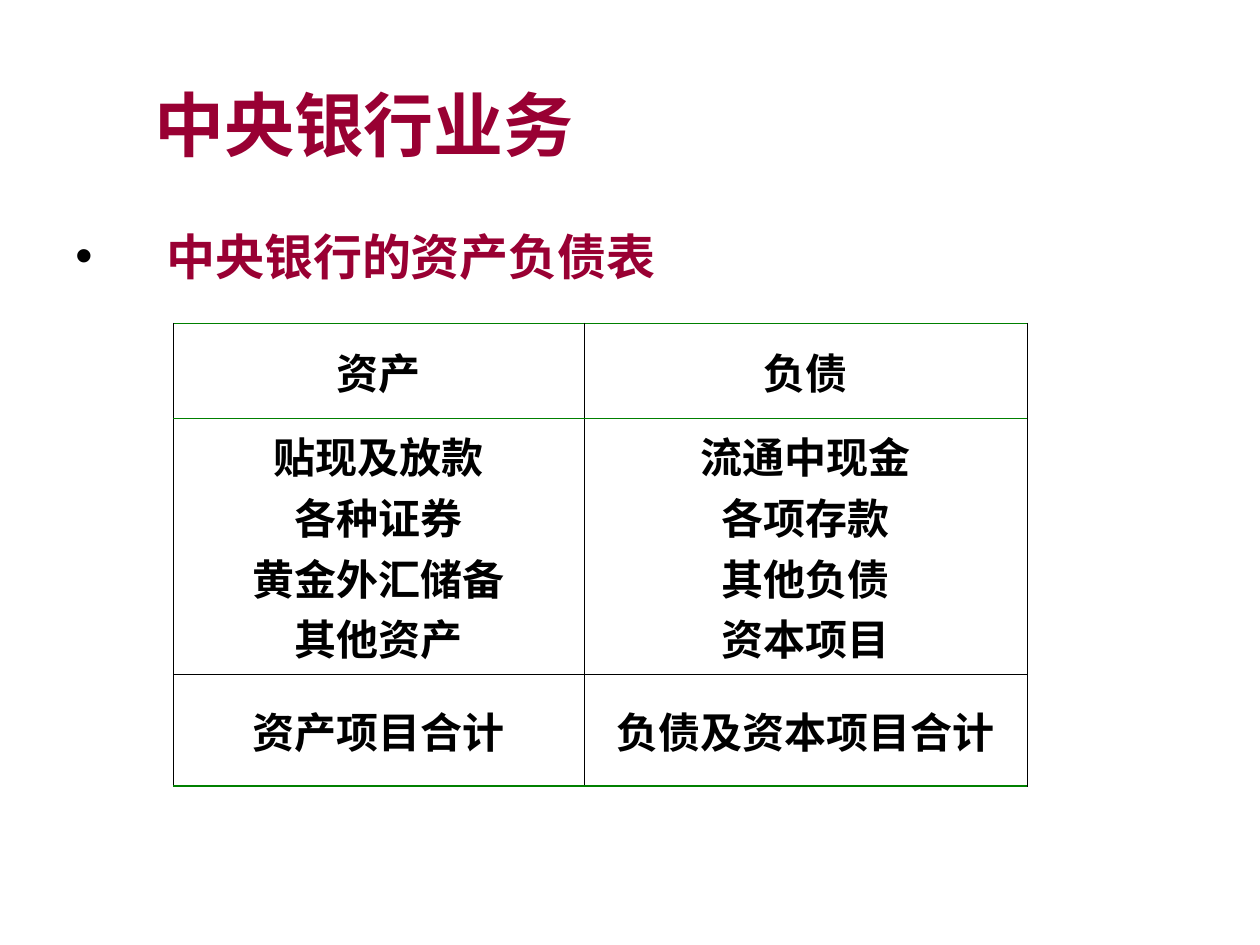
import dataclasses

import lxml.etree
import pptx
import pptx.dml.color
import pptx.enum.text
import pptx.oxml.ns
import pptx.util

Pt = pptx.util.Pt
qn = pptx.oxml.ns.qn
COLORS = {"heading": "990033", "ink": "000000", "rule": "008000"}
CJK_FONT = "Noto Sans CJK SC"


@dataclasses.dataclass(frozen=True)
class Heading:
    text: str
    left: float
    top: float
    width: float
    height: float
    size: float
    indent: float
    bullet: str = ""


@dataclasses.dataclass(frozen=True)
class Border:
    side: str
    width: float
    color: str


HEADINGS = [
    Heading("中央银行业务", 36, 46.3, 647, 60, 40, 45),
    Heading("中央银行的资产负债表", 36, 129.5, 375, 50, 28, 52, "•"),
]
COLUMN_WIDTHS = [235, 253]
ROW_HEIGHTS = [54, 146.3, 64]
BALANCE_SHEET = [
    [["资产"], ["负债"]],
    [
        ["贴现及放款", "各种证券", "黄金外汇储备", "其他资产"],
        ["流通中现金", "各项存款", "其他负债", "资本项目"],
    ],
    [["资产项目合计"], ["负债及资本项目合计"]],
]
ROW_RULES = [(0.96, "rule"), (0.45, "rule"), (0.45, "ink"), (0.96, "rule")]
COLUMN_RULES = [(0.34, "ink"), (0.45, "ink"), (0.34, "ink")]


def set_font(paragraph, size: float, color: str, latin: str) -> None:
    """Give a paragraph its bold font, size and colour."""
    font = paragraph.font
    font.size = Pt(size)
    font.bold = True
    font.color.rgb = pptx.dml.color.RGBColor.from_string(COLORS[color])
    font.name = latin
    lxml.etree.SubElement(font._element, qn("a:ea"), typeface=CJK_FONT)


def set_bullet(properties, character: str) -> None:
    """Add a black Arial bullet to paragraph properties."""
    bullet_color = lxml.etree.SubElement(properties, qn("a:buClr"))
    lxml.etree.SubElement(bullet_color, qn("a:srgbClr"), val=COLORS["ink"])
    lxml.etree.SubElement(properties, qn("a:buFont"), typeface="Arial")
    lxml.etree.SubElement(properties, qn("a:buChar"), char=character)


def add_heading(slide, heading: Heading) -> None:
    """Draw one indented heading line."""
    shape = slide.shapes.add_textbox(
        Pt(heading.left), Pt(heading.top), Pt(heading.width), Pt(heading.height)
    )
    frame = shape.text_frame
    frame.word_wrap = True
    frame.margin_top = 0
    paragraph = frame.paragraphs[0]
    paragraph.text = heading.text
    properties = paragraph._p.get_or_add_pPr()
    properties.set("marL", str(Pt(heading.indent)))
    if heading.bullet:
        properties.set("indent", str(-Pt(heading.indent)))
        set_bullet(properties, heading.bullet)
    set_font(paragraph, heading.size, "heading", "Arial")


def add_border(cell, border: Border) -> None:
    """Draw one side of a cell."""
    line = lxml.etree.SubElement(
        cell._tc.get_or_add_tcPr(), qn(f"a:ln{border.side}"), w=str(Pt(border.width))
    )
    fill = lxml.etree.SubElement(line, qn("a:solidFill"))
    lxml.etree.SubElement(fill, qn("a:srgbClr"), val=COLORS[border.color])


def fill_cell(cell, lines: list[str], borders: list[Border]) -> None:
    """Write centred lines into a cell and frame it."""
    anchors = pptx.enum.text.MSO_ANCHOR
    cell.vertical_anchor = anchors.TOP if len(lines) > 1 else anchors.MIDDLE
    cell.text = "\n".join(lines)
    for paragraph in cell.text_frame.paragraphs:
        paragraph.alignment = pptx.enum.text.PP_ALIGN.CENTER
        set_font(paragraph, 24, "ink", CJK_FONT)
    for border in borders:
        add_border(cell, border)
    cell.fill.background()


def add_balance_sheet(slide, left: float, top: float) -> None:
    """Draw the table of assets and liabilities."""
    table = slide.shapes.add_table(
        len(ROW_HEIGHTS), len(COLUMN_WIDTHS), Pt(left), Pt(top),
        Pt(sum(COLUMN_WIDTHS)), Pt(sum(ROW_HEIGHTS)),
    ).table
    table.first_row = False
    table.horz_banding = False
    for column, width in zip(table.columns, COLUMN_WIDTHS):
        column.width = Pt(width)
    for row_index, height in enumerate(ROW_HEIGHTS):
        table.rows[row_index].height = Pt(height)
        for column_index, lines in enumerate(BALANCE_SHEET[row_index]):
            borders = [
                Border("L", *COLUMN_RULES[column_index]),
                Border("R", *COLUMN_RULES[column_index + 1]),
                Border("T", *ROW_RULES[row_index]),
                Border("B", *ROW_RULES[row_index + 1]),
            ]
            fill_cell(table.cell(row_index, column_index), lines, borders)


def main() -> None:
    """Build the central bank balance sheet slide."""
    presentation = pptx.Presentation()
    presentation.slide_width = Pt(720)
    presentation.slide_height = Pt(540)
    slide = presentation.slides.add_slide(presentation.slide_layouts[6])
    for heading in HEADINGS:
        add_heading(slide, heading)
    add_balance_sheet(slide, 99, 185)
    presentation.save("out.pptx")


if __name__ == "__main__":
    main()
